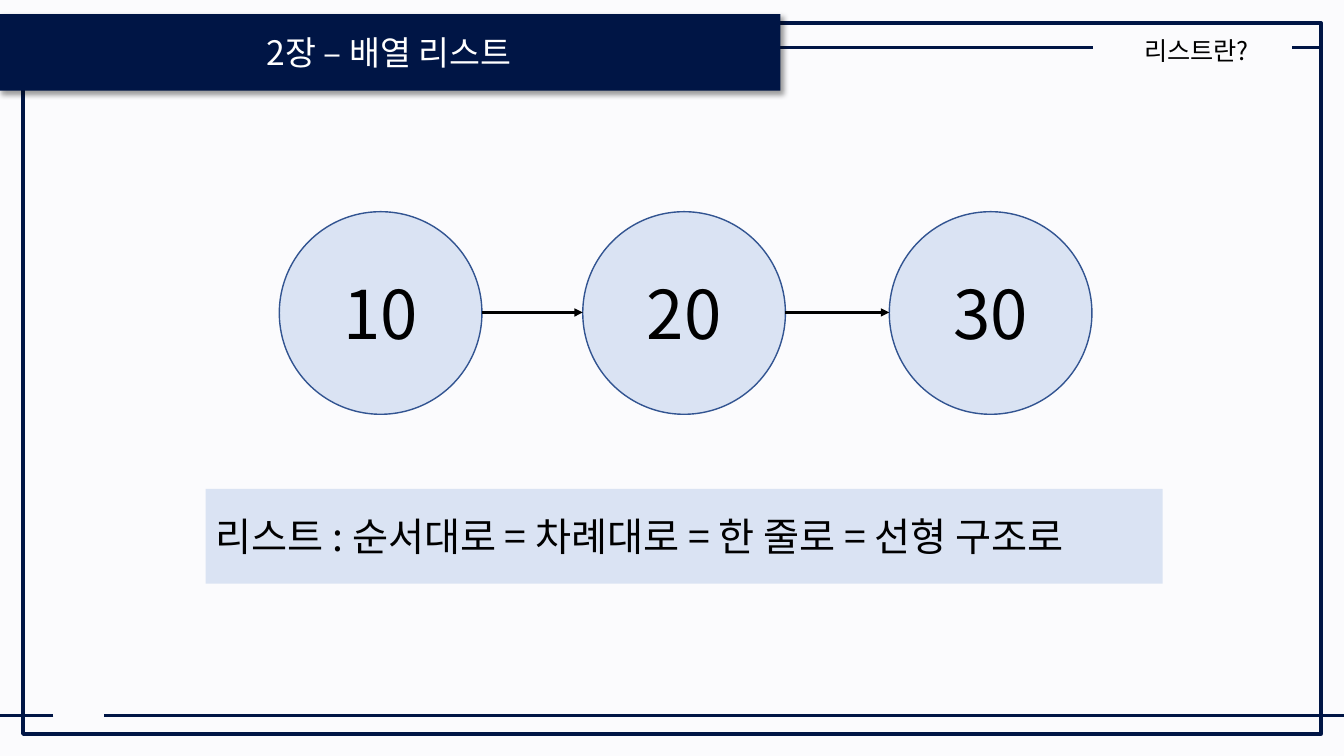
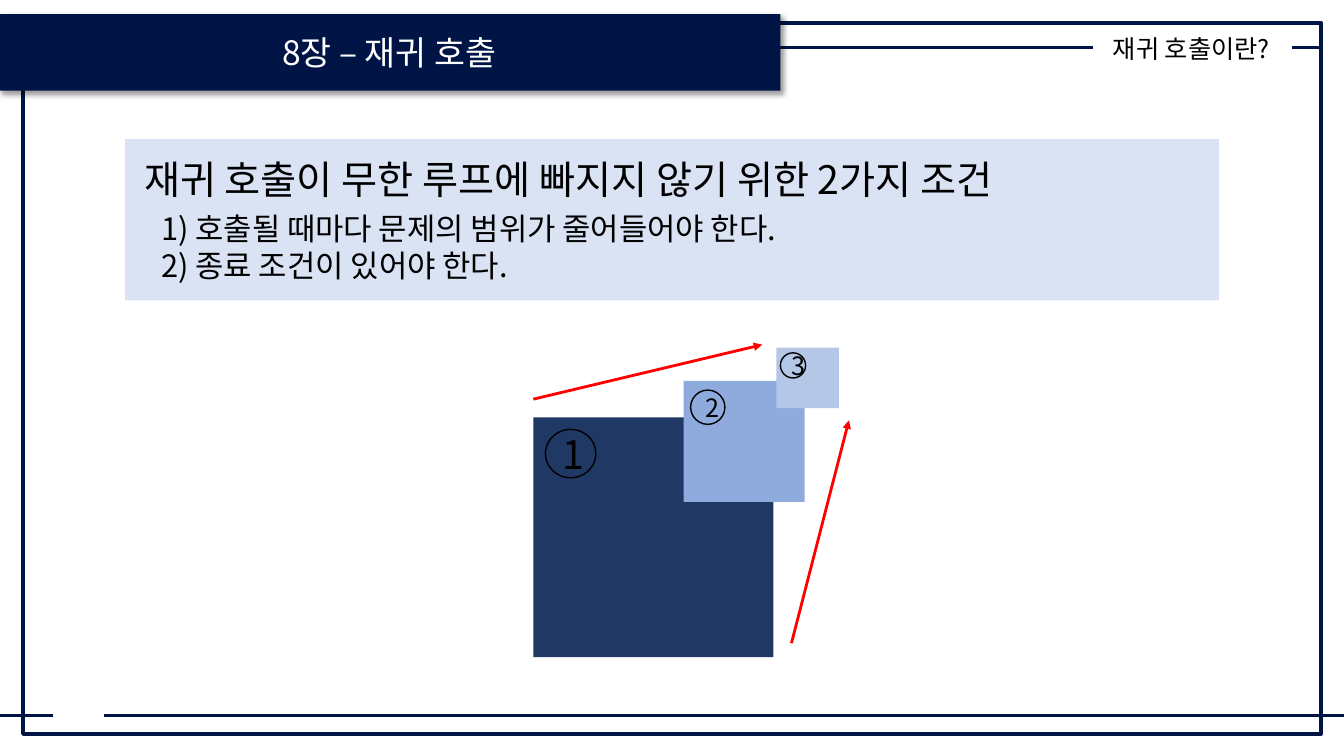
import itertools
from dataclasses import dataclass

import pptx
import pptx.dml.color
import pptx.enum.shapes
import pptx.enum.text
import pptx.oxml
import pptx.oxml.ns
import pptx.util

PX = 9144  # EMU per px, 100 px to the inch
SHAPE = pptx.enum.shapes.MSO_SHAPE
ALIGN = pptx.enum.text.PP_ALIGN
ANCHOR = pptx.enum.text.MSO_ANCHOR
NSDECL = pptx.oxml.ns.nsdecls("a")


@dataclass(frozen=True)
class Theme:
    font: str = "Noto Sans CJK KR"
    navy: str = "001545"
    ink: str = "000000"
    white: str = "FFFFFF"
    pale: str = "DAE3F3"
    ring: str = "325491"
    red: str = "FF0000"
    label: int = 18
    item: int = 22
    title: int = 24
    body: int = 28
    node: int = 48


T = Theme()

# Frame shared by the slides
SLIDE_SIZE = (1333, 750)
FRAME = (23, 23, 1287, 705)
TITLE_BAR = (-2, 14, 776, 76)
RULES_BEHIND = [(1084, 47, -2, 47), (1333, 710, 103, 710)]
RULES_FRONT = [(1310, 47, 1281, 47), (53, 710, 0, 710)]

# Slide 1
LIST_HEAD = dict(title="2장 – 배열 리스트", label="리스트란?",
                 label_box=(1125, 30, 117, 40), background="FBFBFD")
NODE_TOP, NODE_SIZE = 210, 201
NODES = [("10", 277), ("20", 578), ("30", 882)]
LIST_BOX = (204, 485, 949, 94)
LIST_TEXT = "리스트 : 순서대로 = 차례대로 = 한 줄로 = 선형 구조로"

# Slide 2
CALL_HEAD = dict(title="8장 – 재귀 호출", label="재귀 호출이란?",
                 label_box=(1094, 28, 177, 40), background="FFFFFF")
CALL_BOX = (124, 138, 1085, 160)
CALL_TEXT = "재귀 호출이 무한 루프에 빠지지 않기 위한 2가지 조건"
CONDITIONS = ["1) 호출될 때마다 문제의 범위가 줄어들어야 한다.",
              "2) 종료 조건이 있어야 한다."]
# square, its colour, badge, number, number size
CALLS = [
    ((529, 414, 238, 238), "203864", (541, 426, 50, 48), "1", T.body),
    ((678, 378, 120, 120), "8FAADC", (685, 387, 34, 34), "2", T.label),
    ((770, 345, 62, 60), "B4C7E7", (774, 350, 25, 25), "3", T.label),
]
CALL_ARROWS = [(529, 396, 756, 342), (785, 638, 842, 417)]


def rgb(value):
    return pptx.dml.color.RGBColor.from_string(value)


def emu(box):
    return [v * PX for v in box]


def add_text(tf, text, size=T.body, color=T.ink, align=ALIGN.LEFT, indent=0,
             before=0):
    """Write text in the empty first paragraph, or in a new one after it."""
    p = tf.paragraphs[-1]
    if p.runs:
        p = tf.add_paragraph()
    p.alignment = align
    p.space_before = pptx.util.Pt(before)
    if indent:
        p._p.get_or_add_pPr().set("marL", str(indent * PX))
    r = p.add_run()
    r.text = text
    r.font.size = pptx.util.Pt(size)
    r.font.name = T.font
    r.font.color.rgb = rgb(color)
    r._r.get_or_add_rPr().append(pptx.oxml.parse_xml(
        f'<a:ea {NSDECL} typeface="{T.font}"/>'))


def add_box(s, kind, box, fill=None, line=None, width=1):
    sp = s.shapes.add_shape(kind, *emu(box))
    sp.shadow.inherit = False
    if fill:
        sp.fill.solid()
        sp.fill.fore_color.rgb = rgb(fill)
    else:
        sp.fill.background()
    if line:
        sp.line.color.rgb = rgb(line)
        sp.line.width = pptx.util.Pt(width)
    else:
        sp.line.fill.background()
    sp.text_frame.word_wrap = True
    sp.text_frame.vertical_anchor = ANCHOR.MIDDLE
    return sp


def add_line(s, ends, color=T.navy, arrow=False):
    line = s.shapes.add_connector(
        pptx.enum.shapes.MSO_CONNECTOR.STRAIGHT, *emu(ends))
    line.line.color.rgb = rgb(color)
    line.line.width = pptx.util.Pt(2)
    if arrow:
        line.line._get_or_add_ln().append(pptx.oxml.parse_xml(
            f'<a:tailEnd {NSDECL} type="triangle"/>'))
    line._element.spPr.append(pptx.oxml.parse_xml(f"<a:effectLst {NSDECL}/>"))


def add_shadow(sp):
    effects = sp._element.spPr.find(pptx.oxml.ns.qn("a:effectLst"))
    effects.append(pptx.oxml.parse_xml(
        f'<a:outerShdw {NSDECL} blurRad="50800" dist="38100" dir="2700000" '
        'algn="tl" rotWithShape="0"><a:srgbClr val="000000">'
        '<a:alpha val="40000"/></a:srgbClr></a:outerShdw>'))


def add_framed_slide(prs, title, label, label_box, background):
    s = prs.slides.add_slide(prs.slide_layouts[6])
    s.background.fill.solid()
    s.background.fill.fore_color.rgb = rgb(background)
    add_box(s, SHAPE.RECTANGLE, FRAME, line=T.navy, width=3)
    for ends in RULES_BEHIND:
        add_line(s, ends)
    bar = add_box(s, SHAPE.RECTANGLE, TITLE_BAR, fill=T.navy)
    add_shadow(bar)
    add_text(bar.text_frame, title, size=T.title, color=T.white,
             align=ALIGN.CENTER)
    for ends in RULES_FRONT:
        add_line(s, ends)
    tf = s.shapes.add_textbox(*emu(label_box)).text_frame
    tf.word_wrap = False
    tf.auto_size = pptx.enum.text.MSO_AUTO_SIZE.SHAPE_TO_FIT_TEXT
    add_text(tf, label, size=T.label)
    return s


def build_list_slide(prs):
    s = add_framed_slide(prs, **LIST_HEAD)
    for text, left in NODES:
        sp = add_box(s, SHAPE.OVAL, (left, NODE_TOP, NODE_SIZE, NODE_SIZE),
                     fill=T.pale, line=T.ring)
        add_text(sp.text_frame, text, size=T.node, align=ALIGN.CENTER)
    middle = NODE_TOP + NODE_SIZE // 2
    for (_, left), (_, following) in itertools.pairwise(NODES):
        add_line(s, (left + NODE_SIZE, middle, following, middle),
                 color=T.ink, arrow=True)
    sp = add_box(s, SHAPE.RECTANGLE, LIST_BOX, fill=T.pale)
    add_text(sp.text_frame, LIST_TEXT)


def build_call_slide(prs):
    s = add_framed_slide(prs, **CALL_HEAD)
    tf = add_box(s, SHAPE.RECTANGLE, CALL_BOX, fill=T.pale).text_frame
    add_text(tf, CALL_TEXT, indent=9)
    for i, text in enumerate(CONDITIONS):
        add_text(tf, text, size=T.item, indent=26, before=0 if i else 5)
    for square, fill, *_ in CALLS:
        add_box(s, SHAPE.RECTANGLE, square, fill=fill)
    for _, _, badge, number, size in CALLS:
        sp = add_box(s, SHAPE.OVAL, badge, line=T.ink)
        add_text(sp.text_frame, number, size=size, align=ALIGN.CENTER)
    for ends in CALL_ARROWS:
        add_line(s, ends, color=T.red, arrow=True)


def main():
    prs = pptx.Presentation()
    prs.slide_width, prs.slide_height = emu(SLIDE_SIZE)
    build_list_slide(prs)
    build_call_slide(prs)
    prs.save("out.pptx")


if __name__ == "__main__":
    main()
